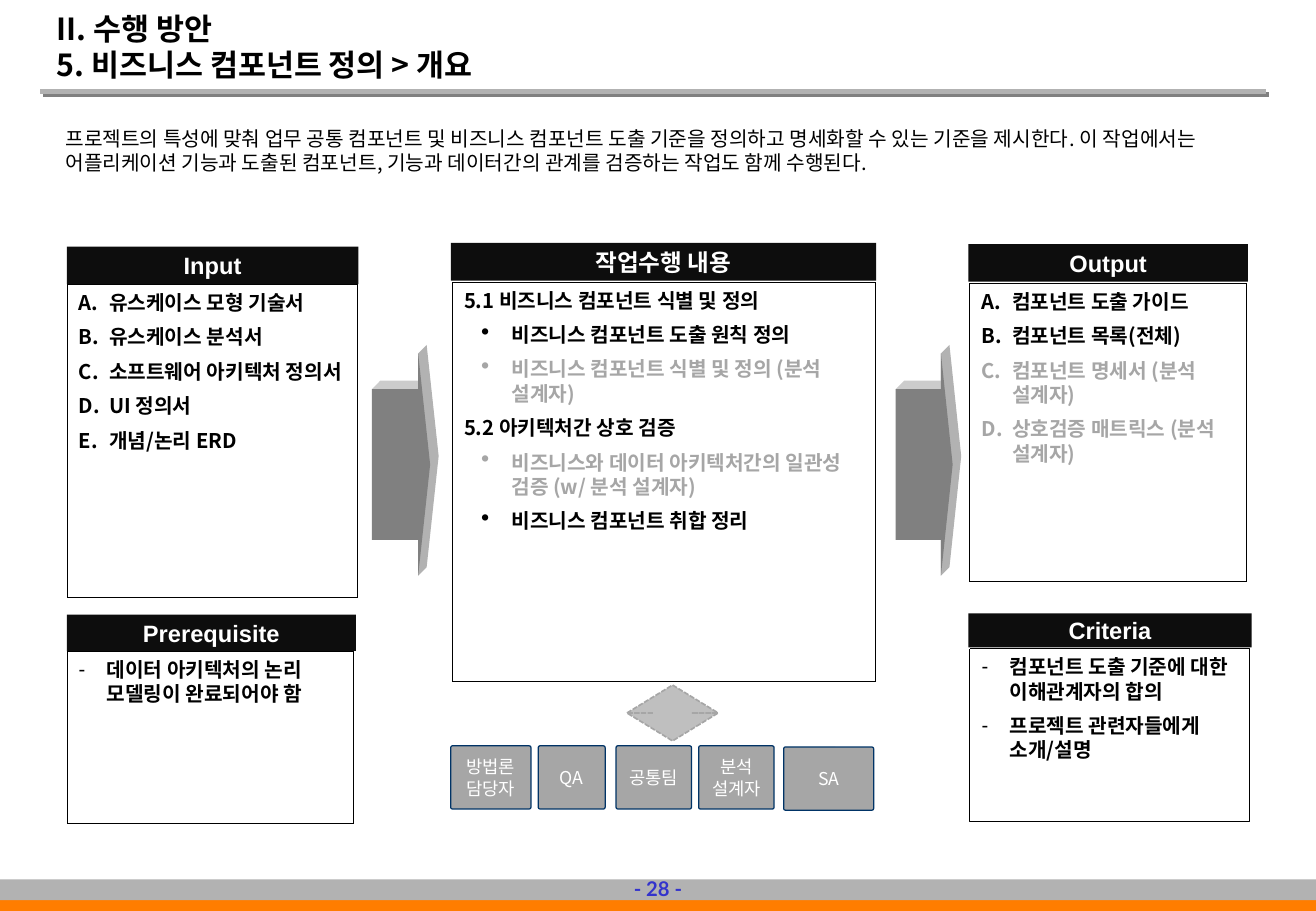
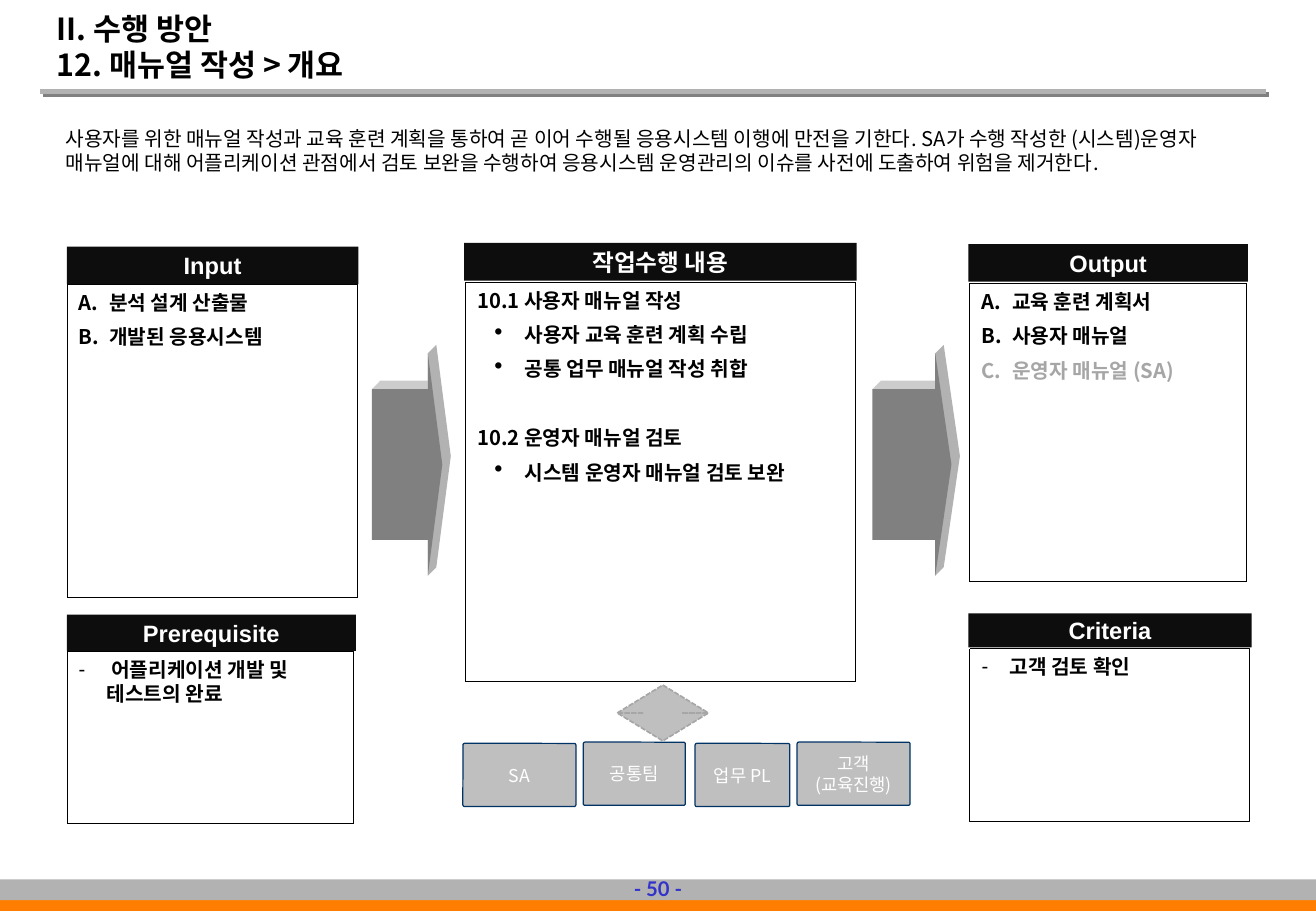
from dataclasses import dataclass

from lxml.etree import SubElement
from pptx import Presentation
from pptx.dml.color import RGBColor
from pptx.enum.dml import MSO_LINE
from pptx.enum.shapes import MSO_CONNECTOR, MSO_SHAPE
from pptx.enum.text import MSO_ANCHOR, PP_ALIGN
from pptx.oxml.ns import qn
from pptx.util import Inches, Pt


@dataclass
class Row:
    text: str
    kind: str = "letter"
    tone: str = "ink"
    gap: float = 6


@dataclass
class Theme:
    ink = "000000"
    faint = "A6A6A6"
    white = "FFFFFF"
    bar = "0D0D0D"
    rule = "B2B2B2"
    front = "808080"
    top = "CCCCCC"
    swap = "BFBFBF"
    edge = "003366"
    accent = "FF7D00"
    page = "3333CC"
    korean = "Noto Sans CJK KR"
    latin = "Arial"
    number = "Lato"
    leading = 1.2
    sizes = {"title": 18, "head": 14, "body": 12, "chip": 10.5}


T = Theme()

DECK = [
    {
        "page": 28,
        "title": "II. 수행 방안\n5. 비즈니스 컴포넌트 정의 > 개요",
        "intro": "프로젝트의 특성에 맞춰 업무 공통 컴포넌트 및 비즈니스 컴포넌트 도출 기준을 정의하고 "
                 "명세화할 수 있는 기준을 제시한다. 이 작업에서는 어플리케이션 기능과 도출된 컴포넌트, "
                 "기능과 데이터간의 관계를 검증하는 작업도 함께 수행된다.",
        "work": (3.71, 3.5),
        "arrows": [(3.06, 0.48), (7.37, 0.47)],
        "swap": 5.16,
        "panels": {
            "작업수행 내용": [
                Row("5.1 비즈니스 컴포넌트 식별 및 정의", "step"),
                Row("비즈니스 컴포넌트 도출 원칙 정의", "point"),
                Row("비즈니스 컴포넌트 식별 및 정의 (분석 설계자)", "point", "faint"),
                Row("5.2 아키텍처간 상호 검증", "step"),
                Row("비즈니스와 데이터 아키텍처간의 일관성 검증 (w/ 분석 설계자)",
                    "point", "faint"),
                Row("비즈니스 컴포넌트 취합 정리", "point"),
            ],
            "Input": [
                Row("유스케이스 모형 기술서"),
                Row("유스케이스 분석서"),
                Row("소프트웨어 아키텍처 정의서"),
                Row("UI 정의서"),
                Row("개념/논리 ERD"),
            ],
            "Output": [
                Row("컴포넌트 도출 가이드"),
                Row("컴포넌트 목록(전체)"),
                Row("컴포넌트 명세서 (분석 설계자)", tone="faint"),
                Row("상호검증 매트릭스 (분석 설계자)", tone="faint"),
            ],
            "Prerequisite": [Row("데이터 아키텍처의 논리 모델링이 완료되어야 함", "dash")],
            "Criteria": [
                Row("컴포넌트 도출 기준에 대한 이해관계자의 합의", "dash"),
                Row("프로젝트 관련자들에게 소개/설명", "dash"),
            ],
        },
        "chip_fill": "faint",
        "chips": [("방법론 담당자", 3.71, 6.14, 0.66), ("QA", 4.43, 6.14, 0.55),
                  ("공통팀", 5.07, 6.14, 0.62), ("분석\n설계자", 5.75, 6.14, 0.62),
                  ("SA", 6.45, 6.15, 0.74)],
    },
    {
        "page": 50,
        "title": "II. 수행 방안\n12. 매뉴얼 작성 > 개요",
        "intro": "사용자를 위한 매뉴얼 작성과 교육 훈련 계획을 통하여 곧 이어 수행될 응용시스템 이행에 "
                 "만전을 기한다. SA가 수행 작성한 (시스템)운영자 매뉴얼에 대해 어플리케이션 관점에서 "
                 "검토 보완을 수행하여 응용시스템 운영관리의 이슈를 사전에 도출하여 위험을 제거한다.",
        "work": (3.82, 3.23),
        "arrows": [(3.06, 0.58), (7.18, 0.65)],
        "swap": 5.08,
        "panels": {
            "작업수행 내용": [
                Row("10.1 사용자 매뉴얼 작성", "step"),
                Row("사용자 교육 훈련 계획 수립", "point"),
                Row("공통 업무 매뉴얼 작성 취합", "point"),
                Row("10.2 운영자 매뉴얼 검토", "step", gap=26.4),
                Row("시스템 운영자 매뉴얼 검토 보완", "point"),
            ],
            "Input": [Row("분석 설계 산출물"), Row("개발된 응용시스템")],
            "Output": [
                Row("교육 훈련 계획서"),
                Row("사용자 매뉴얼"),
                Row("운영자 매뉴얼 (SA)", tone="faint"),
            ],
            "Prerequisite": [Row(" 어플리케이션 개발 및 테스트의 완료", "dash")],
            "Criteria": [Row("고객 검토 확인", "dash")],
        },
        "chip_fill": "swap",
        "chips": [("SA", 3.81, 6.12, 0.93), ("공통팀", 4.8, 6.11, 0.84),
                  ("업무 PL", 5.72, 6.12, 0.78), ("고객\n(교육진행)", 6.56, 6.11, 0.93)],
    },
]

# Heading and body boxes: left, top, width, height
PANELS = {
    "Input": ((0.55, 2.03, 2.4, 0.31), (0.55, 2.34, 2.39, 2.58)),
    "Output": ((7.97, 2.01, 2.3, 0.31), (7.98, 2.33, 2.28, 2.46)),
    "Prerequisite": ((0.55, 5.06, 2.38, 0.3), (0.55, 5.36, 2.36, 1.42)),
    "Criteria": ((7.97, 5.05, 2.33, 0.28), (7.98, 5.34, 2.3, 1.42)),
}

# Left margin, hanging indent, bullet elements
LISTS = {
    "plain": (0, 0, []),
    "step": (0.25, 0.25, []),
    "letter": (0.25, 0.25, [("buAutoNum", {"type": "alphaUcPeriod"})]),
    "point": (0.39, 0.25, [("buSzPct", {"val": "120000"}), ("buChar", {"char": "•"})]),
    "dash": (0.23, 0.23, [("buFont", {"typeface": T.latin}), ("buChar", {"char": "-"})]),
}


def rgb(tone):
    return RGBColor.from_string(getattr(T, tone))


def put(obj, **values):
    for name, value in values.items():
        setattr(obj, name, value)


def paint(shape, fill=None, line=None, width=0.75, dash=None):
    shape.shadow.inherit = False
    if fill:
        shape.fill.solid()
        shape.fill.fore_color.rgb = rgb(fill)
    else:
        shape.fill.background()
    if line:
        shape.line.color.rgb = rgb(line)
        put(shape.line, width=Pt(width), dash_style=dash)
    else:
        shape.line.fill.background()


def block(slide, at, kind=MSO_SHAPE.RECTANGLE, adjust=(), **look):
    shape = slide.shapes.add_shape(kind, *map(Inches, at))
    for i, value in enumerate(adjust):
        shape.adjustments[i] = value
    paint(shape, **look)
    return shape


def label(slide, at):
    return slide.shapes.add_textbox(*map(Inches, at))


def write(shape, rows, size="body", font=T.korean, bold=True,
          align=PP_ALIGN.LEFT, anchor=MSO_ANCHOR.TOP, inset=None, wrap=True):
    frame = shape.text_frame
    put(frame, word_wrap=wrap, vertical_anchor=anchor)
    if inset is not None:
        sides = ("left", "top", "right", "bottom")
        put(frame, **{f"margin_{side}": Inches(inset) for side in sides})
    points = T.sizes[size]
    for i, row in enumerate(rows):
        para = frame.paragraphs[0] if i == 0 else frame.add_paragraph()
        put(para, alignment=align, line_spacing=Pt(points * T.leading),
            space_before=Pt(row.gap if i else 0))
        left, hang, marks = LISTS[row.kind]
        props = para._p.get_or_add_pPr()
        props.set("marL", str(Inches(left)))
        props.set("indent", str(-Inches(hang)))
        for tag, attrs in marks:
            SubElement(props, qn("a:" + tag), attrs)
        run = para.add_run()
        run.text = row.text
        put(run.font, size=Pt(points), bold=bold, name=font)
        run.font.color.rgb = rgb(row.tone)
        SubElement(run._r.get_or_add_rPr(), qn("a:ea"), typeface=font)


def lines(text, tone="ink"):
    return [Row(part, "plain", tone, 0) for part in text.split("\n")]


def cast(rule):
    """Give the title rule its hard grey shadow."""
    effects = SubElement(rule._element.spPr, qn("a:effectLst"))
    shade = SubElement(effects, qn("a:outerShdw"), dist=str(Pt(2.8)),
                       dir="2700000", algn="ctr", rotWithShape="0")
    SubElement(shade, qn("a:srgbClr"), val=T.front)


def base(slide, page, title, intro):
    ends = map(Inches, (0.33, 0.75, 10.42, 0.75))
    rule = slide.shapes.add_connector(MSO_CONNECTOR.STRAIGHT, *ends)
    rule.line.color.rgb = rgb("rule")
    rule.line.width = Pt(3)
    cast(rule)
    block(slide, (0, 7.34, 10.83, 0.16), fill="accent")
    block(slide, (0, 7.24, 10.83, 0.17), fill="rule")
    write(label(slide, (5.12, 7.16, 0.59, 0.31)), lines(f"- {page} -", "page"),
          font=T.number, align=PP_ALIGN.CENTER, anchor=MSO_ANCHOR.MIDDLE,
          inset=0.06, wrap=False)
    write(label(slide, (0.37, 0.23, 8.06, 0.5)), lines(title), "title",
          anchor=MSO_ANCHOR.BOTTOM)
    write(label(slide, (0.44, 0.99, 10.05, 0.51)), lines(intro), bold=False)


def panel(slide, name, rows, head, body):
    box = block(slide, body, line="ink", width=0.25, dash=MSO_LINE.ROUND_DOT)
    write(box, rows)
    bar = block(slide, head, fill="bar")
    write(bar, lines(name, "white"), "head",
          font=T.latin if name in PANELS else T.korean,
          align=PP_ALIGN.CENTER, anchor=MSO_ANCHOR.MIDDLE, inset=0)


def facet(slide, points, fill):
    spots = [(Inches(x), Inches(y)) for x, y in points]
    path = slide.shapes.build_freeform(*spots[0])
    path.add_line_segments(spots[1:], close=True)
    paint(path.convert_to_shape(), fill)


def arrow(slide, x, w, y=2.91, h=1.83, deep=0.07):
    """Draw a solid arrow: side face, top face, then front face."""
    shaft, point = 0.678, 0.205
    neck, tip = x + w * (1 - point), x + w
    ledge = y + h * (1 - shaft) / 2
    facet(slide, [(neck, y), (neck + deep, y - deep), (tip + deep, y + h / 2 - deep),
                  (neck + deep, y + h - deep), (neck, y + h)], "rule")
    facet(slide, [(x, ledge), (x + deep, ledge - deep), (neck, ledge - deep),
                  (neck, ledge)], "top")
    block(slide, (x, y, w, h), MSO_SHAPE.RIGHT_ARROW, (shaft, point), fill="front")


def build(deck, data):
    slide = deck.slides.add_slide(deck.slide_layouts[6])
    base(slide, data["page"], data["title"], data["intro"])
    x, w = data["work"]
    work = (x, 2, w, 0.31), (x + 0.01, 2.32, w - 0.02, 3.29)
    for name, rows in data["panels"].items():
        panel(slide, name, rows, *PANELS.get(name, work))
    for spot in data["arrows"]:
        arrow(slide, *spot)
    block(slide, (data["swap"], 5.64, 0.75, 0.46), MSO_SHAPE.UP_DOWN_ARROW,
          (0.608, 0.416), fill="swap", line="faint", width=1,
          dash=MSO_LINE.SQUARE_DOT)
    for text, left, top, wide in data["chips"]:
        chip = block(slide, (left, top, wide, 0.52), MSO_SHAPE.ROUNDED_RECTANGLE,
                     (0.028,), fill=data["chip_fill"], line="edge")
        write(chip, lines(text, "white"), "chip", bold=False,
              align=PP_ALIGN.CENTER, anchor=MSO_ANCHOR.MIDDLE)


def main():
    deck = Presentation()
    put(deck, slide_width=Inches(10.83), slide_height=Inches(7.5))
    for data in DECK:
        build(deck, data)
    deck.save("out.pptx")


if __name__ == "__main__":
    main()
